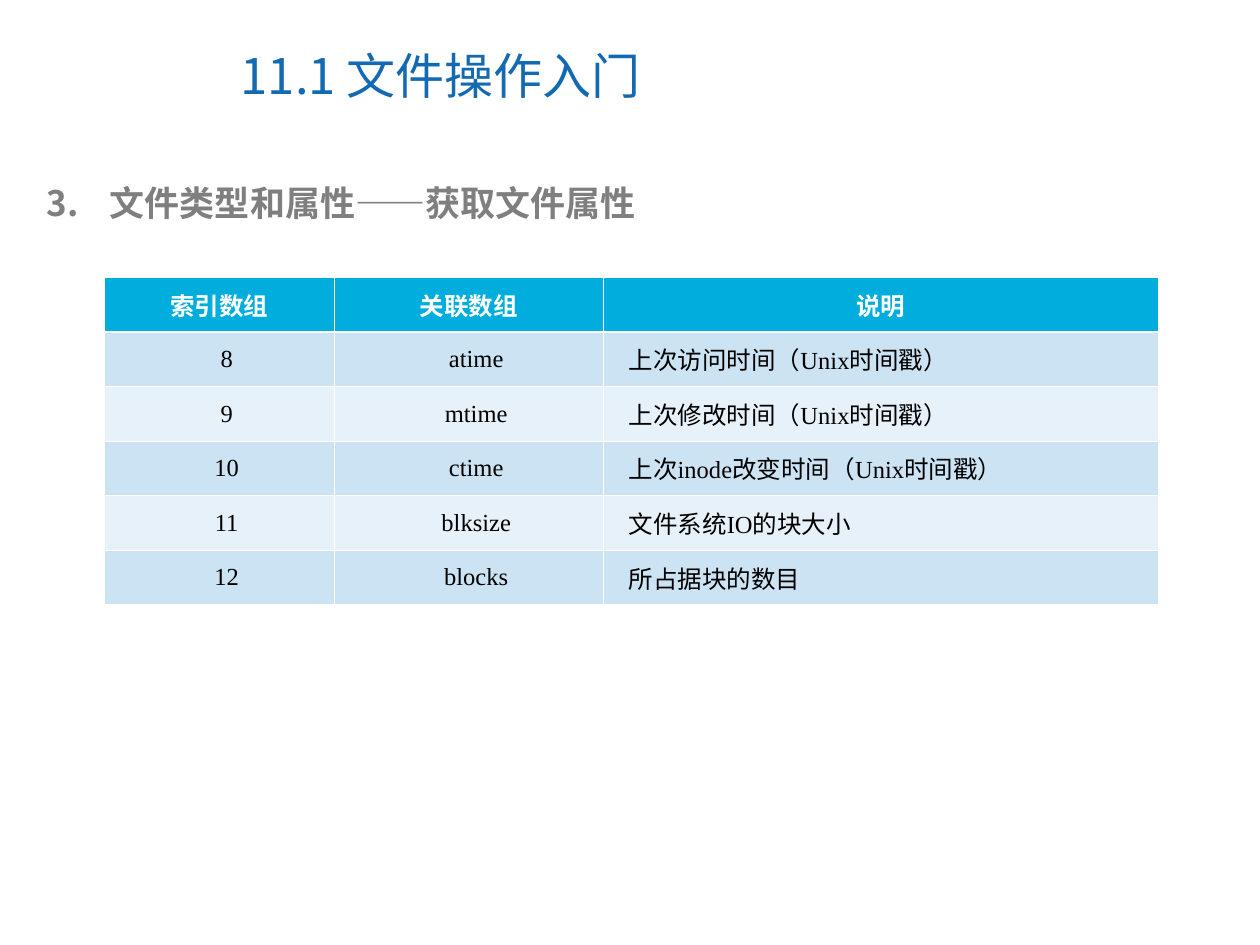
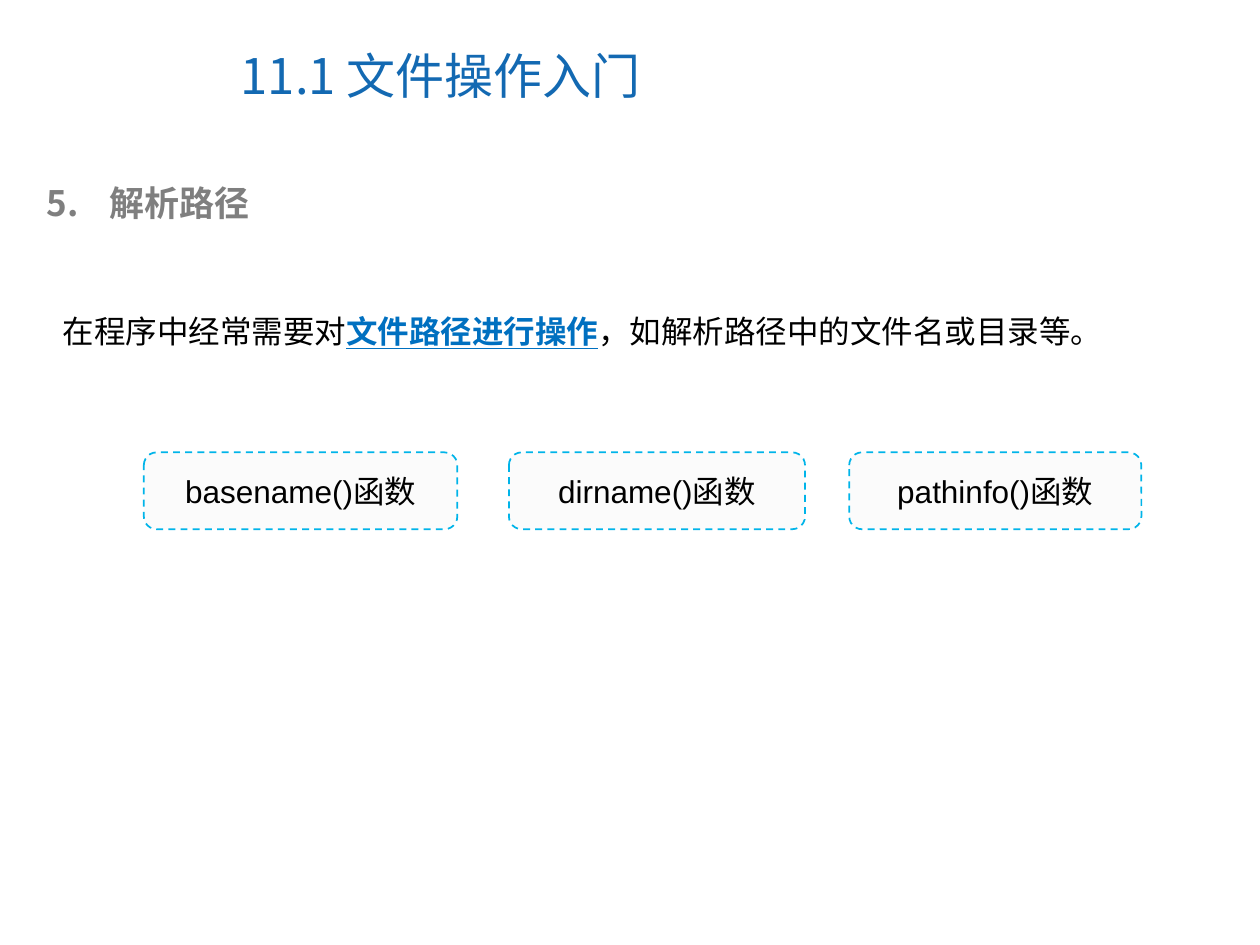
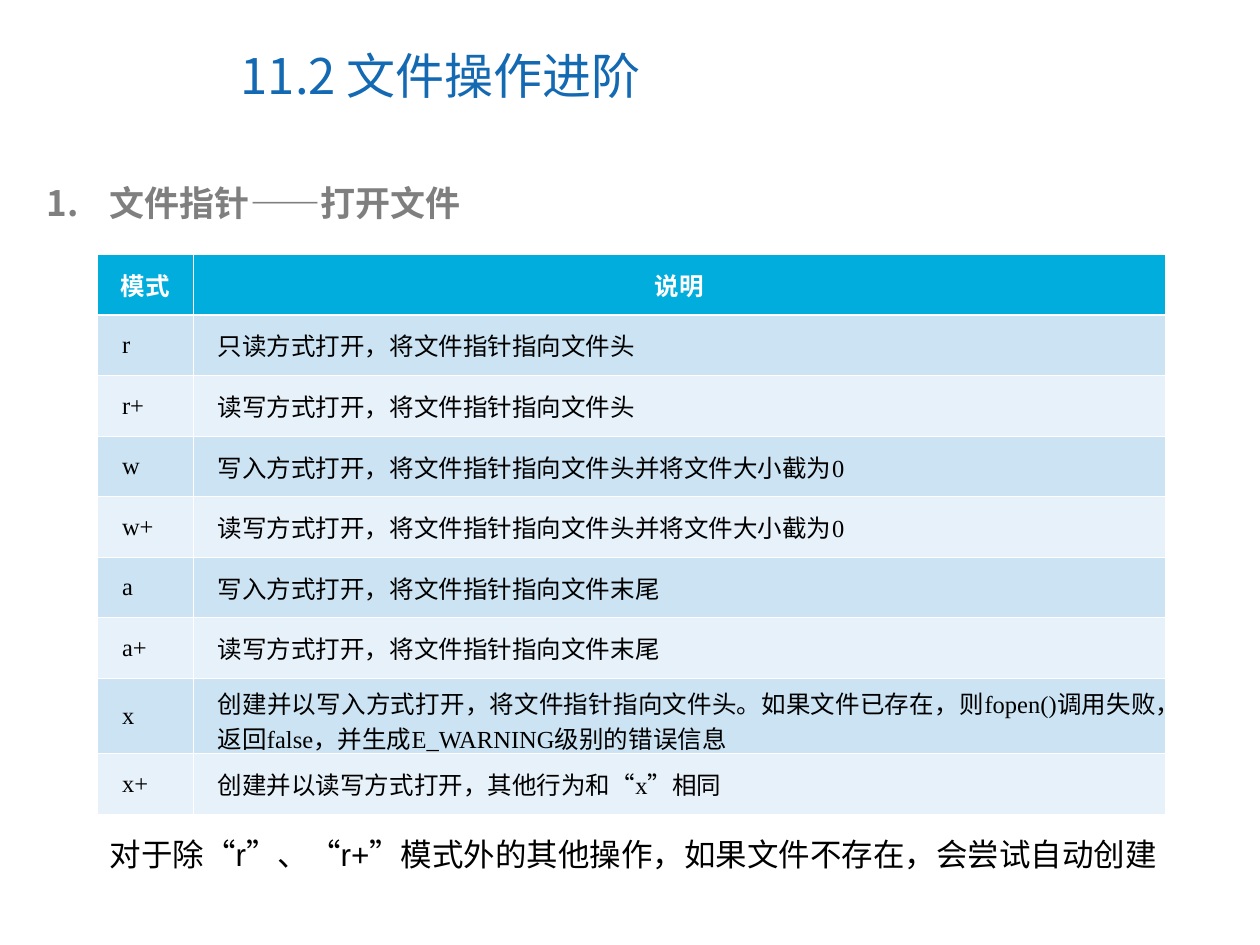
from dataclasses import dataclass, field

from lxml.etree import SubElement
from pptx import Presentation
from pptx.dml.color import RGBColor
from pptx.enum.dml import MSO_LINE
from pptx.enum.shapes import MSO_SHAPE
from pptx.enum.text import MSO_ANCHOR, MSO_AUTO_SIZE, PP_ALIGN
from pptx.oxml.ns import qn
from pptx.slide import Slide
from pptx.util import Cm, Pt

INK = {
    "title": "1369B2",
    "head": "7F7F7F",
    "text": "000000",
    "white": "FFFFFF",
    "top": "00ADDC",
    "odd": "CBE3F2",
    "even": "E7F1F9",
    "link": "0070C0",
    "box": "FBFBFB",
    "edge": "00B4E9",
}
SANS = "Noto Sans CJK SC"
ARIAL = "Arial"
SERIF = "Times New Roman"
LEFT, MID, JUST = PP_ALIGN.LEFT, PP_ALIGN.CENTER, PP_ALIGN.JUSTIFY
THIN, THICK = Pt(0.45), Pt(1.47)


@dataclass
class Grid:
    left: float
    top: float
    cols: list[float]
    high: float
    aligns: list[PP_ALIGN]
    rows: list[tuple[str, ...]]
    tall: dict[int, float] = field(default_factory=dict)


@dataclass
class Box:
    left: float
    wide: float
    text: str


STATS = Grid(2.11, 5.59, [4.62, 5.44, 11.18], 1.1, [MID, MID, JUST], [
    ("索引数组", "关联数组", "说明"),
    ("8", "atime", "上次访问时间（Unix时间戳）"),
    ("9", "mtime", "上次修改时间（Unix时间戳）"),
    ("10", "ctime", "上次inode改变时间（Unix时间戳）"),
    ("11", "blksize", "文件系统IO的块大小"),
    ("12", "blocks", "所占据块的数目"),
])
MODES = Grid(1.96, 5.13, [1.93, 19.61], 1.22, [JUST, JUST], [
    ("模式", "说明"),
    ("r", "只读方式打开，将文件指针指向文件头"),
    ("r+", "读写方式打开，将文件指针指向文件头"),
    ("w", "写入方式打开，将文件指针指向文件头并将文件大小截为0"),
    ("w+", "读写方式打开，将文件指针指向文件头并将文件大小截为0"),
    ("a", "写入方式打开，将文件指针指向文件末尾"),
    ("a+", "读写方式打开，将文件指针指向文件末尾"),
    ("x", "创建并以写入方式打开，将文件指针指向文件头。如果文件已存在，"
          "则fopen()调用失败，返回false，并生成E_WARNING级别的错误信息"),
    ("x+", "创建并以读写方式打开，其他行为和“x”相同"),
], {7: 1.52})
BOXES = [
    Box(2.9, 6.32, "basename()函数"),
    Box(10.26, 5.97, "dirname()函数"),
    Box(17.12, 5.89, "pathinfo()函数"),
]


def tint(name: str) -> RGBColor:
    return RGBColor.from_string(INK[name])


def style(para, size: float, face: str, ink: str, bold: bool = False) -> None:
    font = para.font
    font.size, font.name, font.bold = Pt(size), face, bold
    font.color.rgb = tint(ink)
    props = para._p.pPr.find(qn("a:defRPr"))
    SubElement(props, qn("a:ea")).set("typeface", SANS)


def place(shape, left: float, top: float, wide: float, high: float) -> None:
    shape.left, shape.top = Cm(left), Cm(top)
    shape.width, shape.height = Cm(wide), Cm(high)


def start(deck, title: str, head: str, count: int) -> Slide:
    slide = deck.slides.add_slide(deck.slide_layouts[1])
    name, body = slide.shapes.title, slide.placeholders[1]
    place(name, 4.6, 0.43, 13.1, 2.16)
    frame = name.text_frame
    frame.text, frame.vertical_anchor = title, MSO_ANCHOR.MIDDLE
    frame.auto_size = MSO_AUTO_SIZE.NONE
    para = frame.paragraphs[0]
    para.alignment = LEFT
    style(para, 28, SANS, "title")

    place(body, 0.69, 3.53, 23.42, 1.12)
    frame = body.text_frame
    frame.text, frame.auto_size = head, MSO_AUTO_SIZE.SHAPE_TO_FIT_TEXT
    para = frame.paragraphs[0]
    para.space_before = Pt(0)
    props = para._p.get_or_add_pPr()
    props.set("marL", str(Cm(1.27)))
    props.set("indent", str(Cm(-1.27)))
    hue = SubElement(props, qn("a:buClr"))
    SubElement(hue, qn("a:srgbClr")).set("val", INK["head"])
    SubElement(props, qn("a:buFont")).set("typeface", SANS)
    mark = SubElement(props, qn("a:buAutoNum"))
    mark.set("type", "arabicPeriod")
    mark.set("startAt", str(count))
    style(para, 20, SANS, "head", True)
    return slide


def rule(cell, row: int) -> None:
    props = cell._tc.get_or_add_tcPr()
    sides = {
        "L": THIN,
        "R": THIN,
        "T": THICK if row == 1 else THIN,
        "B": THICK if row == 0 else THIN,
    }
    for side, width in sides.items():
        line = SubElement(props, qn(f"a:ln{side}"))
        line.set("w", str(width))
        fill = SubElement(line, qn("a:solidFill"))
        SubElement(fill, qn("a:srgbClr")).set("val", INK["white"])


def draw_grid(slide: Slide, grid: Grid) -> None:
    highs = [grid.tall.get(i, grid.high) for i in range(len(grid.rows))]
    table = slide.shapes.add_table(
        len(grid.rows), len(grid.cols), Cm(grid.left), Cm(grid.top),
        Cm(sum(grid.cols)), Cm(sum(highs))).table
    for col, wide in zip(table.columns, grid.cols):
        col.width = Cm(wide)
    for i, (texts, high) in enumerate(zip(grid.rows, highs)):
        table.rows[i].height = Cm(high)
        shade = "top" if i == 0 else "odd" if i % 2 else "even"
        for j, text in enumerate(texts):
            cell = table.cell(i, j)
            rule(cell, i)
            cell.fill.solid()
            cell.fill.fore_color.rgb = tint(shade)
            cell.vertical_anchor = MSO_ANCHOR.MIDDLE
            cell.margin_left = cell.margin_right = Cm(0.2)
            cell.margin_top = cell.margin_bottom = Cm(0.13)
            cell.text = text
            para = cell.text_frame.paragraphs[0]
            if i == 0:
                para.alignment = MID
                face = SERIF if text == "说明" else ARIAL
                style(para, 14, face, "white", True)
            else:
                para.alignment = grid.aligns[j]
                para._p.get_or_add_pPr().set("marL", str(Cm(0.3)))
                style(para, 14, SERIF, "text")


def draw_box(slide: Slide, box: Box) -> None:
    shape = slide.shapes.add_shape(
        MSO_SHAPE.ROUNDED_RECTANGLE, Cm(box.left), Cm(9.12), Cm(box.wide), Cm(1.55))
    shape.shadow.inherit = False
    shape.fill.solid()
    shape.fill.fore_color.rgb = tint("box")
    shape.line.color.rgb = tint("edge")
    shape.line.width = Pt(1)
    shape.line.dash_style = MSO_LINE.DASH
    frame = shape.text_frame
    frame.text, frame.vertical_anchor = box.text, MSO_ANCHOR.MIDDLE
    para = frame.paragraphs[0]
    para.alignment = MID
    style(para, 18, ARIAL, "text")


def add_note(slide: Slide, left: float, top: float, wide: float):
    shape = slide.shapes.add_textbox(Cm(left), Cm(top), Cm(wide), Cm(1.78))
    frame = shape.text_frame
    frame.word_wrap = True
    frame.auto_size = MSO_AUTO_SIZE.SHAPE_TO_FIT_TEXT
    para = frame.paragraphs[0]
    style(para, 18, ARIAL, "text")
    return para


def main() -> None:
    deck = Presentation()
    deck.slide_width, deck.slide_height = Cm(25.4), Cm(19.05)

    slide = start(deck, "11.1 文件操作入门", "文件类型和属性——获取文件属性", 3)
    draw_grid(slide, STATS)

    slide = start(deck, "11.1 文件操作入门", "解析路径", 5)
    para = add_note(slide, 1.02, 5.41, 23.34)
    para.line_spacing = 2.0
    para.add_run().text = "在程序中经常需要对"
    link = para.add_run()
    link.text = "文件路径进行操作"
    link.font.bold = link.font.underline = True
    link.font.color.rgb = tint("link")
    para.add_run().text = "，如解析路径中的文件名或目录等。"
    for box in BOXES:
        draw_box(slide, box)

    slide = start(deck, "11.2 文件操作进阶", "文件指针——打开文件", 1)
    draw_grid(slide, MODES)
    para = add_note(slide, 1.96, 16.71, 21.97)
    para.add_run().text = "对于除“r”、“r+”模式外的其他操作，如果文件不存在，会尝试自动创建"

    deck.save("out.pptx")


if __name__ == "__main__":
    main()
